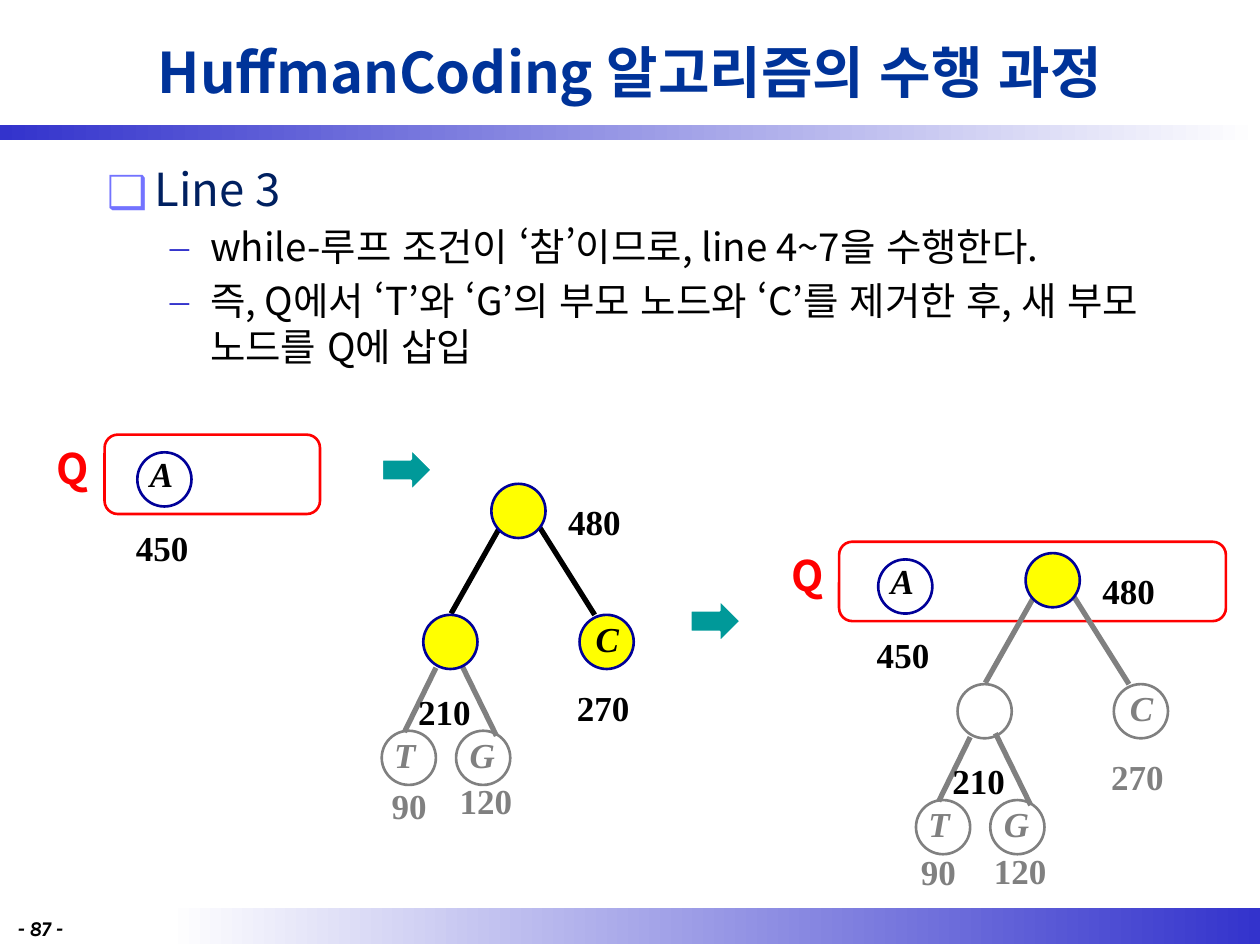
from lxml import etree
from pptx import Presentation, util as u
from pptx.dml.color import RGBColor
from pptx.enum import lang, shapes, text
from pptx.oxml.ns import qn

INK, GRAY, NAVY, RED, BLUE = "000000", "808080", "000099", "FF0000", "3333CC"
WHITE, YELLOW, TEAL = "FFFFFF", "FFFF00", "009999"
SANS, SERIF = "Noto Sans CJK KR", "Times New Roman"

THEME = {
    "title": dict(name=SANS, size=32, color="003399", bold=True),
    "head": dict(name=SANS, size=26, color="002060"),
    "item": dict(name=SANS, size=22, color=INK),
    "queue": dict(name=SANS, size=24, color=RED, bold=True),
    "page": dict(name="Karla", size=12, color=INK, bold=True, italic=True),
    "count": dict(name=SERIF, size=20, color=INK, bold=True),
    "sign": dict(name=SERIF, size=20, color=INK, bold=True, italic=True),
}
LEVELS = {
    "head": dict(left=0.38, hang=0.38, mark="❑", face=SANS, tint="7373FF", gap=0),
    "item": dict(left=0.82, hang=0.32, mark="–", face=SERIF, tint=BLUE, gap=4.4),
}

TITLE = "HuffmanCoding 알고리즘의 수행 과정"
BODY = [
    ("head", "Line 3"),
    ("item", "while-루프 조건이 ‘참’이므로, line 4~7을 수행한다."),
    ("item", "즉, Q에서 ‘T’와 ‘G’의 부모 노드와 ‘C’를 제거한 후, 새 부모 노드를 Q에 삽입"),
]
BARS = [
    ((1.33, 7.21, 8.67, 0.28), (WHITE, BLUE)),
    ((0, 0.99, 10, 0.12), (BLUE, WHITE)),
]
QUEUES = [
    dict(at=(0.83, 3.45), wide=1.71, node=0.26),
    dict(at=(6.66, 4.3), wide=3.07, node=0.31),
]
ARROWS = [(3.03, 3.56), (5.48, 4.76)]

DISC = 0.43
NODES = {"top": (0, 0), "join": (-0.54, 1.04), "C": (0.7, 1.04),
         "T": (-0.87, 1.96), "G": (-0.28, 1.96)}
EDGES = [
    ("high", (0.07, 0.34), (-0.32, 1.03)),
    ("high", (0.38, 0.34), (0.82, 1.04)),
    ("low", (-0.44, 1.46), (-0.69, 1.97)),
    ("low", (-0.24, 1.43), (0.04, 2.0)),
]
LABELS = [
    ("480", "count", (0.51, 0.08), 0.62), ("210", "count", (-0.68, 1.59), 0.74),
    ("C", "sign", (0.73, 1.01), 0.33), ("270", "count", (0.58, 1.56), 0.62),
    ("T", "sign", (-0.87, 1.93), 0.36), ("G", "sign", (-0.27, 1.93), 0.33),
    ("120", "count", (-0.35, 2.3), 0.62),
]
TREES = [
    dict(at=(3.9, 3.84), lit={"top", "join", "C"}, ink=INK,
         dim={"T", "G", "90", "120"}, low=(-0.89, 2.34)),
    dict(at=(8.14, 4.39), lit={"top"}, ink=GRAY,
         dim={"C", "270", "T", "G", "90", "120"}, low=(-0.93, 2.31)),
]

deck = Presentation()
deck.slide_width, deck.slide_height = u.Inches(10), u.Inches(7.5)
slide = deck.slides.add_slide(deck.slide_layouts[5])


def inch(*vals):
    return [u.Inches(round(v, 2)) for v in vals]


def shift(base, step):
    return base[0] + step[0], base[1] + step[1]


def write(para, words, style, **more):
    run = para.add_run()
    run.text = words
    run.font.language_id = lang.MSO_LANGUAGE_ID.KOREAN
    for key, val in {**THEME[style], **more}.items():
        if key == "color":
            run.font.color.rgb = RGBColor.from_string(val)
        else:
            setattr(run.font, key, u.Pt(val) if key == "size" else val)
    east = etree.SubElement(run.font._element, qn("a:ea"))
    east.set("typeface", run.font.name)


def box(words, style, at, wide, high=0.44, **more):
    frame = slide.shapes.add_textbox(*inch(*at, wide, high)).text_frame
    frame.word_wrap = False
    write(frame.paragraphs[0], words, style, **more)


def shape(kind, area, fill=None, line=None):
    item = slide.shapes.add_shape(kind, *inch(*area))
    item.shadow.inherit = False
    if fill:
        item.fill.solid()
        item.fill.fore_color.rgb = RGBColor.from_string(fill)
    else:
        item.fill.background()
    if line:
        item.line.color.rgb = RGBColor.from_string(line)
        item.line.width = u.Pt(1.5)
    else:
        item.line.fill.background()
    return item


def disc(at, fill, line):
    shape(shapes.MSO_SHAPE.OVAL, (*at, DISC, DISC), fill, line)


def bullet(para, left, hang, mark, face, tint, gap):
    para.space_before = u.Pt(gap)
    props = para._p.get_or_add_pPr()
    props.set("marL", str(u.Inches(left)))
    props.set("indent", str(-u.Inches(hang)))
    hue = etree.SubElement(props, qn("a:buClr"))
    etree.SubElement(hue, qn("a:srgbClr")).set("val", tint)
    etree.SubElement(props, qn("a:buFont")).set("typeface", face)
    etree.SubElement(props, qn("a:buChar")).set("char", mark)


def edge(start, end, color):
    line = slide.shapes.add_connector(
        shapes.MSO_CONNECTOR.STRAIGHT, *inch(*start, *end))
    line.line.color.rgb = RGBColor.from_string(color)
    line.line.width = u.Pt(3)
    etree.SubElement(line._element.spPr, qn("a:effectLst"))


def queue(at, wide, node):
    shape(shapes.MSO_SHAPE.ROUNDED_RECTANGLE, (*at, wide, 0.63), line=RED)
    spot = shift(at, (node, 0.14))
    disc(spot, None, NAVY)
    box("A", "sign", shift(spot, (0, -0.05)), 0.39)
    box("450", "count", shift(spot, (-0.11, 0.54)), 0.62)
    box("Q", "queue", shift(at, (-0.48, 0.01)), 0.31, 0.5)


def tree(at, lit, ink, dim, low):
    for rank, start, end in EDGES:
        edge(shift(at, start), shift(at, end), ink if rank == "high" else GRAY)
    for name, step in NODES.items():
        on = name in lit
        disc(shift(at, step), YELLOW if on else None, NAVY if on else GRAY)
    for words, style, step, wide in LABELS + [("90", "count", low, 0.48)]:
        box(words, style, shift(at, step), wide,
            color=GRAY if words in dim else INK)


for area, hues in BARS:
    bar = shape(shapes.MSO_SHAPE.RECTANGLE, area)
    bar.fill.gradient()
    bar.fill.gradient_angle = 0
    for stop, hue in zip(bar.fill.gradient_stops, hues):
        stop.color.rgb = RGBColor.from_string(hue)

title = slide.shapes.title
title.left, title.top, title.width, title.height = inch(0.75, 0.05, 8.5, 1.03)
frame = title.text_frame
frame.auto_size = text.MSO_AUTO_SIZE.NONE
frame.vertical_anchor = text.MSO_ANCHOR.MIDDLE
frame.paragraphs[0].alignment = text.PP_ALIGN.CENTER
write(frame.paragraphs[0], TITLE, "title")

frame = slide.shapes.add_textbox(*inch(0.75, 1.23, 8.5, 5.98)).text_frame
frame.word_wrap = True
for i, (style, words) in enumerate(BODY):
    para = frame.add_paragraph() if i else frame.paragraphs[0]
    para.level = int(style == "item")
    bullet(para, **LEVELS[style])
    write(para, words, style)

for part in QUEUES:
    queue(**part)
for part in TREES:
    tree(**part)
for at in ARROWS:
    shape(shapes.MSO_SHAPE.RIGHT_ARROW, (*at, 0.4, 0.34), TEAL, WHITE)
box("- 87 -", "page", (0.04, 7.22), 0.71, 0.24)

deck.save("out.pptx")
